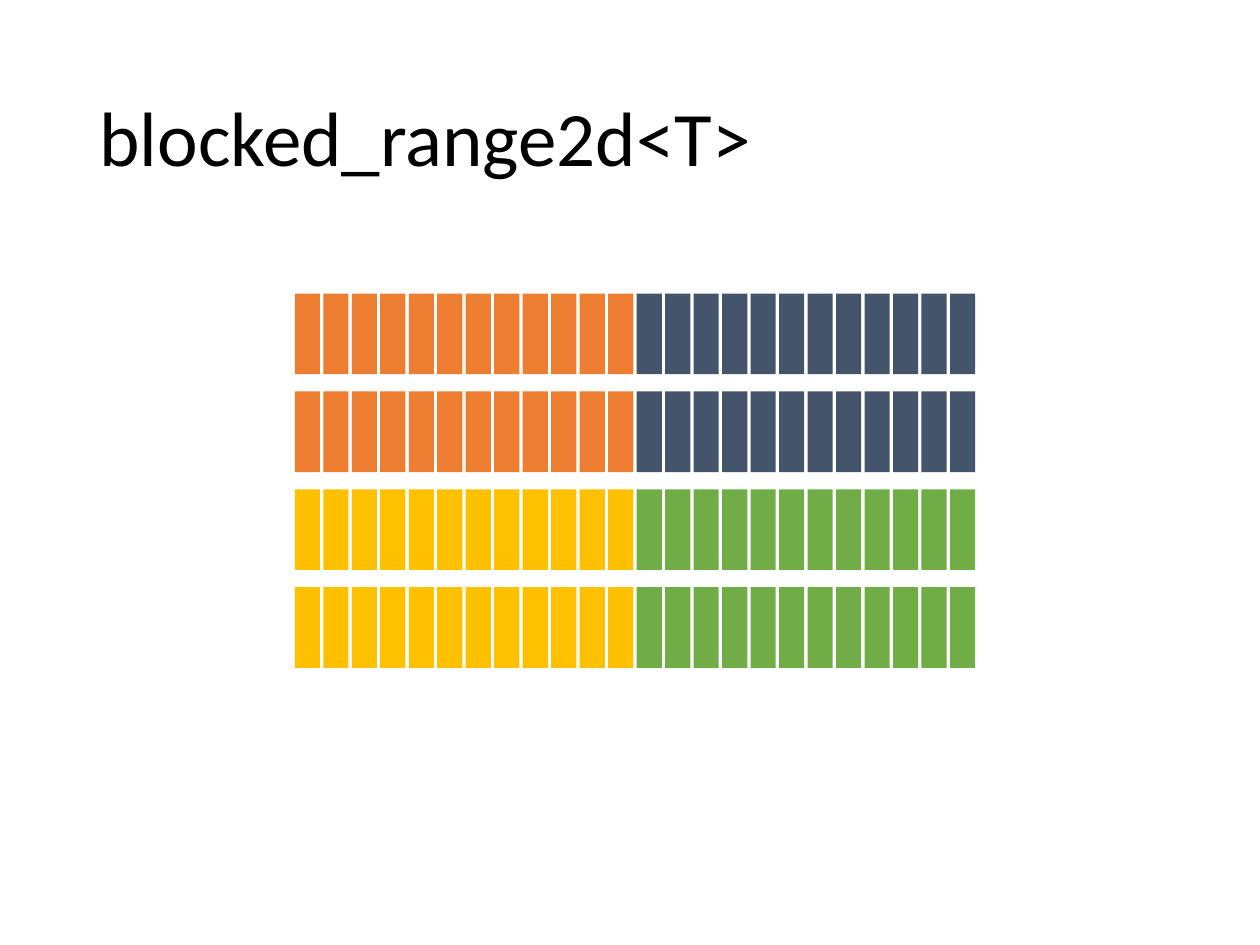
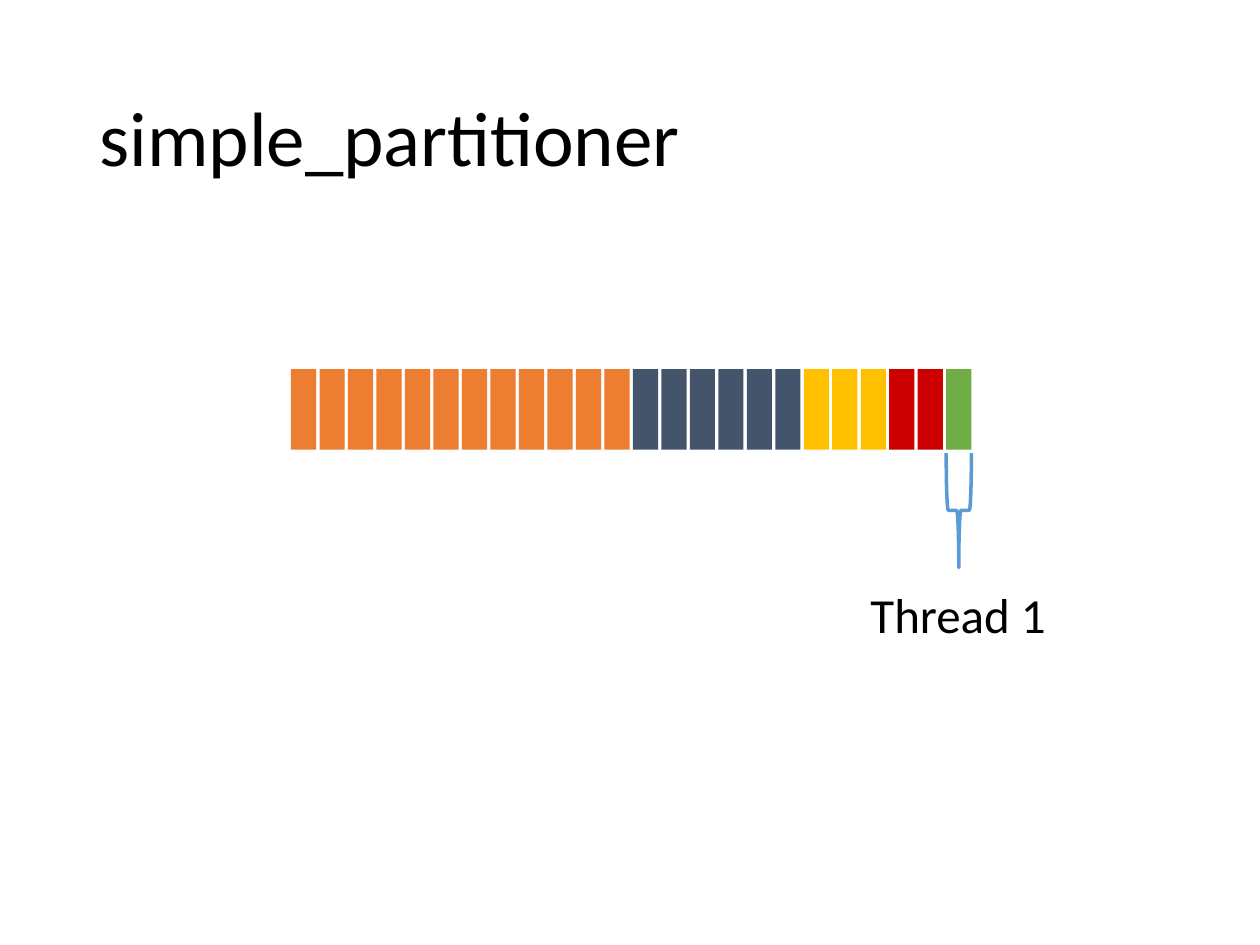
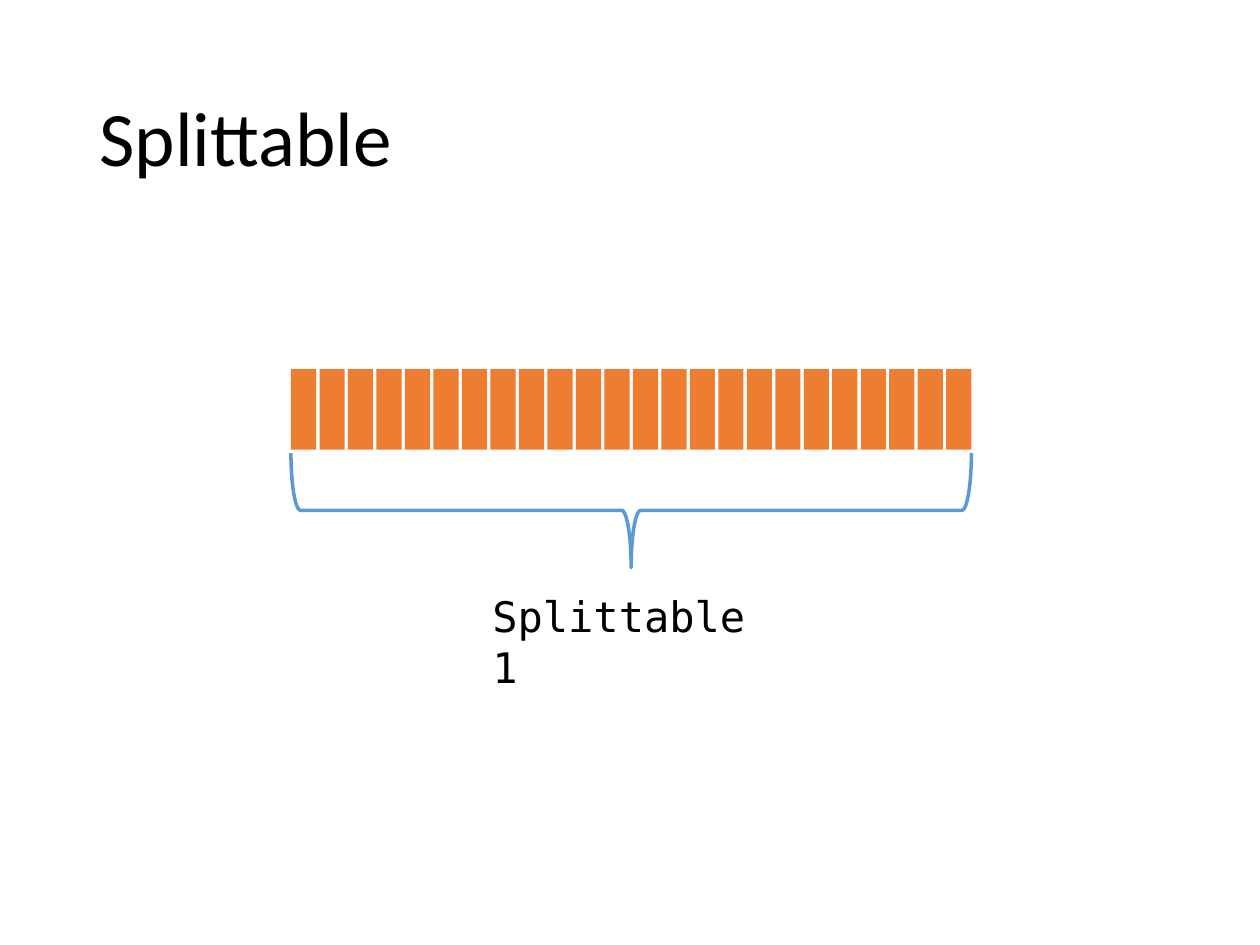
from pptx import Presentation
from pptx.dml.color import RGBColor
from pptx.enum.shapes import MSO_SHAPE
from pptx.enum.text import MSO_ANCHOR, MSO_AUTO_SIZE, PP_ALIGN
from pptx.util import Inches, Pt

COLS, ROWS = 100, 75
WIDE, HIGH = Inches(10), Inches(7.5)
CELLS, CELL, TALL = 24, 2, 6.4
SPAN = 54
STEP = (SPAN - CELL) / (CELLS - 1)
ORANGE, SLATE, GOLD = "ED7D31", "44546A", "FFC000"
RED, GREEN, BLUE, BLACK = "CC0000", "70AD47", "5B9BD5", "000000"
SANS, MONO = "Calibri", "DejaVu Sans Mono"


def tint(code):
    return RGBColor.from_string(code)


def place(left, top, width, height):
    return (round(left * WIDE / COLS), round(top * HIGH / ROWS),
            round(width * WIDE / COLS), round(height * HIGH / ROWS))


def apply(item, style):
    for key, value in style.items():
        setattr(item, key, value)


def write(shape, text, size, face, frame, para):
    apply(shape.text_frame, frame)
    first = shape.text_frame.paragraphs[0]
    apply(first, para)
    run = first.add_run()
    run.text = text
    apply(run.font, {"size": Pt(size), "name": face, "bold": False})
    run.font.color.rgb = tint(BLACK)


def start(deck, text):
    slide = deck.slides.add_slide(deck.slide_layouts[5])
    title = slide.shapes.title
    spot = place(6.9, 4, 86.2, 14.5)
    apply(title, dict(zip(("left", "top", "width", "height"), spot)))
    write(title, text, 44, SANS,
          {"word_wrap": True, "auto_size": MSO_AUTO_SIZE.NONE,
           "vertical_anchor": MSO_ANCHOR.MIDDLE},
          {"alignment": PP_ALIGN.LEFT, "line_spacing": 0.9})
    return slide


def strip(slide, left, top, parts):
    fills = [code for code, count in parts for _ in range(count)]
    for col, code in enumerate(fills):
        cell = slide.shapes.add_shape(
            MSO_SHAPE.RECTANGLE, *place(left + col * STEP, top, CELL, TALL))
        cell.shadow.inherit = False
        cell.fill.solid()
        cell.fill.fore_color.rgb = tint(code)
        cell.line.fill.background()


def brace(slide, left, top, width, height):
    shift = (width - height) / 2
    mark = slide.shapes.add_shape(
        MSO_SHAPE.LEFT_BRACE,
        *place(left + shift, top - shift, height, width))
    mark.rotation = 270
    mark.shadow.inherit = False
    mark.fill.background()
    mark.line.color.rgb = tint(BLUE)
    mark.line.width = Pt(2)


def label(slide, box, text, size, face):
    note = slide.shapes.add_textbox(*place(*box))
    write(note, text, size, face, {"word_wrap": True}, {})


def grid(deck, title, rows):
    slide = start(deck, title)
    for row, parts in enumerate(rows):
        strip(slide, 23.4, 23.3 + row * 7.77, parts)


def split(deck, title, parts, first, box, text, size, face):
    left, top = 23.1, 29.3
    slide = start(deck, title)
    strip(slide, left, top, parts)
    begin = first * STEP
    brace(slide, left + begin, top + TALL + 0.25, SPAN - begin, 9.1)
    label(slide, box, text, size, face)


def main():
    deck = Presentation()
    apply(deck, {"slide_width": WIDE, "slide_height": HIGH})
    half = CELLS // 2
    upper = [(ORANGE, half), (SLATE, half)]
    lower = [(GOLD, half), (GREEN, half)]
    grid(deck, "blocked_range2d<T>", [upper, upper, lower, lower])
    split(deck, "simple_partitioner",
          [(ORANGE, 12), (SLATE, 6), (GOLD, 3), (RED, 2), (GREEN, 1)],
          CELLS - 1, (68.1, 45.9, 16.1, 5.7), "Thread 1", 28, SANS)
    split(deck, "Splittable", [(ORANGE, CELLS)],
          0, (38.1, 46.4, 24.3, 5), "Splittable 1", 24, MONO)
    deck.save("out.pptx")


if __name__ == "__main__":
    main()
